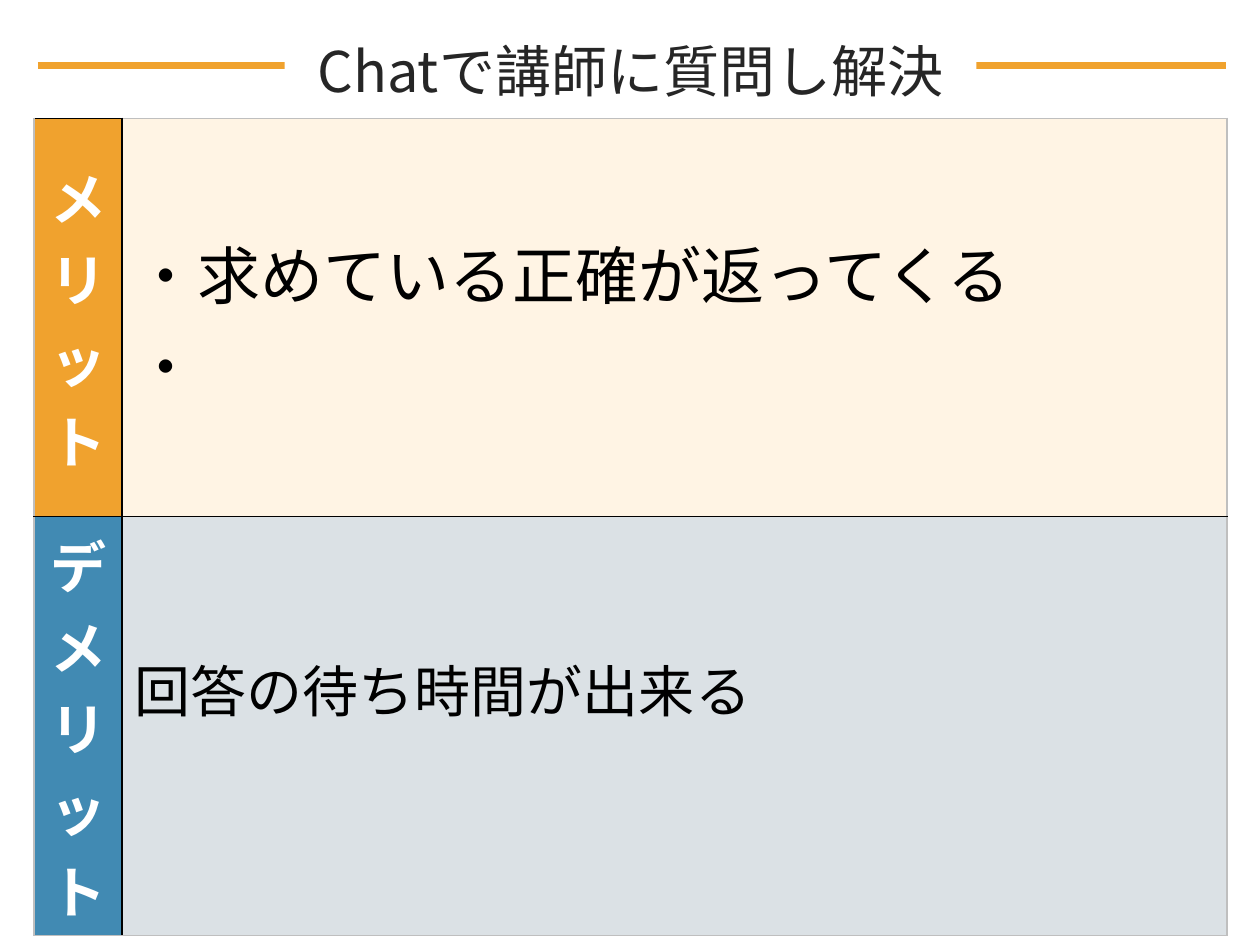
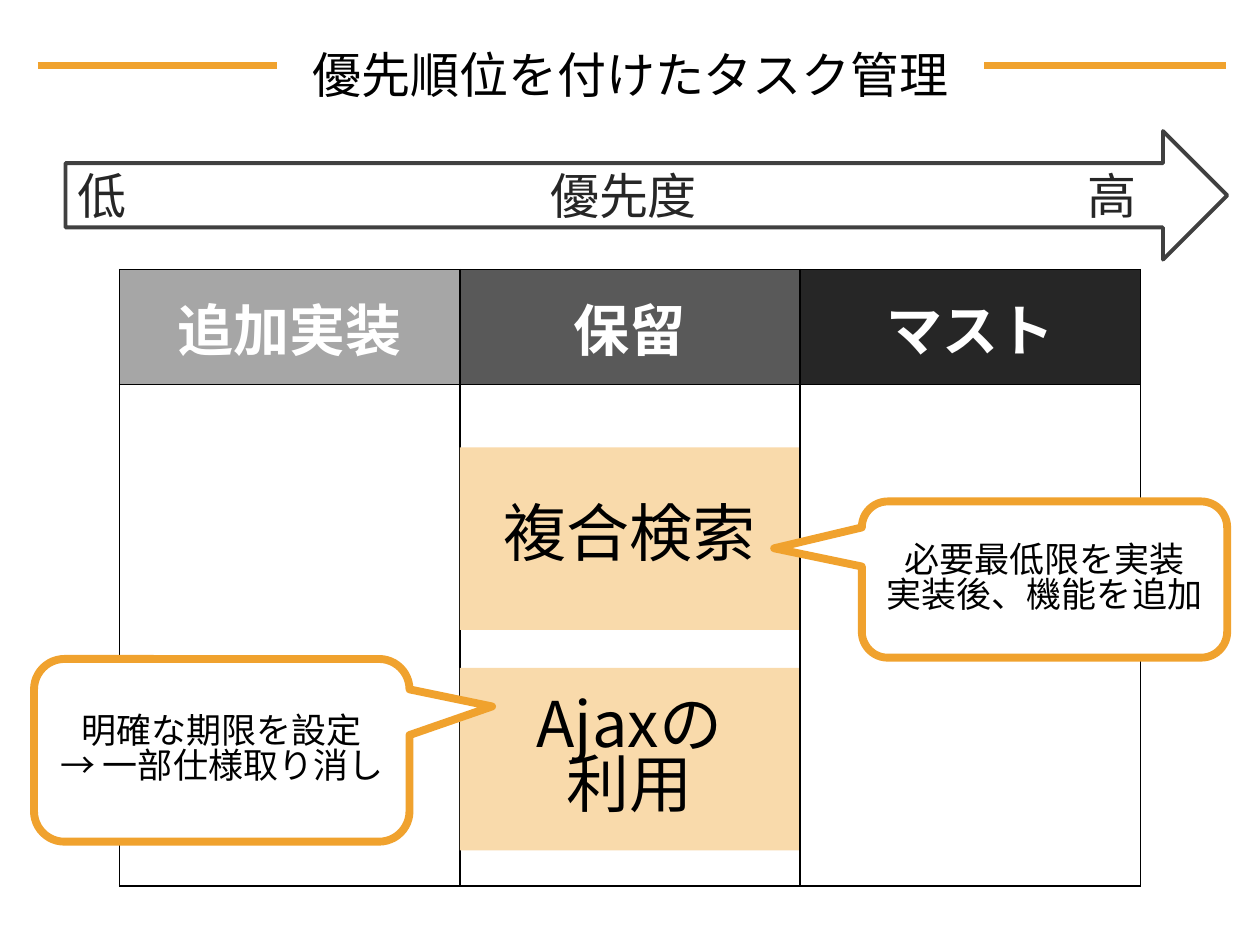
import lxml.etree
import pptx
import pptx.dml.color
import pptx.enum.shapes
import pptx.enum.text
import pptx.oxml.ns
import pptx.util

Inches = pptx.util.Inches
Pt = pptx.util.Pt
qn = pptx.oxml.ns.qn
Shape = pptx.enum.shapes.MSO_SHAPE
Align = pptx.enum.text.PP_ALIGN
Anchor = pptx.enum.text.MSO_ANCHOR

FONT = "Noto Sans CJK JP"
HUES = {
    "white": "FFFFFF", "black": "000000", "ink": "262626", "edge": "404040",
    "orange": "F0A22E", "peach": "F9DAAB", "cream": "FFEACA",
    "blue": "418AB3", "mist": "B8C5CD",
    "silver": "BFBFBF", "light": "A6A6A6", "mid": "595959",
}


class Deck:
    """Hold the shared style and the current slide."""

    def __init__(self):
        self.prs = pptx.Presentation()
        self.prs.slide_width = Inches(10)
        self.prs.slide_height = Inches(7.5)
        self.slide = None

    def hue(self, name):
        return pptx.dml.color.RGBColor.from_string(HUES[name])

    def paint(self, fill, name):
        fill.solid()
        fill.fore_color.rgb = self.hue(name)

    def label(self, frame, lines, size, hue="black", bold=False, align=Align.CENTER, gap=None):
        frame.text = "\n".join(lines)
        for para in frame.paragraphs:
            para.alignment = align
            para.line_spacing = gap
            font = para.font
            font.name, font.size, font.bold = FONT, Pt(size), bold
            font.color.rgb = self.hue(hue)
            lxml.etree.SubElement(font._rPr, qn("a:ea"), typeface=FONT)

    def page(self, text, left, top, width, height, size, hue):
        self.slide = self.prs.slides.add_slide(self.prs.slide_layouts[5])
        self.rule(0.3, 9.73, 0.52)
        title = self.slide.shapes.title
        self.slide.shapes._spTree.append(title._element)
        title.left, title.top = Inches(left), Inches(top)
        title.width, title.height = Inches(width), Inches(height)
        self.paint(title.fill, "white")
        self.label(title.text_frame, [text], size, hue)
        title.text_frame.auto_size = pptx.enum.text.MSO_AUTO_SIZE.NONE
        title.text_frame.vertical_anchor = Anchor.MIDDLE

    def rule(self, left, right, y):
        line = self.slide.shapes.add_connector(
            pptx.enum.shapes.MSO_CONNECTOR.STRAIGHT,
            Inches(left), Inches(y), Inches(right), Inches(y))
        line.line.color.rgb = self.hue("orange")
        line.line.width = Pt(4.5)
        lxml.etree.SubElement(line._element.spPr, qn("a:effectLst"))

    def shape(self, kind, left, top, width, height, fill=None, line=None, weight=4.5):
        item = self.slide.shapes.add_shape(
            kind, Inches(left), Inches(top), Inches(width), Inches(height))
        item.shadow.inherit = False
        if fill:
            self.paint(item.fill, fill)
        else:
            item.fill.background()
        if line:
            item.line.color.rgb = self.hue(line)
            item.line.width = Pt(weight)
        else:
            item.line.fill.background()
        item.text_frame.vertical_anchor = Anchor.MIDDLE
        return item

    def task(self, top, lines):
        item = self.shape(Shape.RECTANGLE, 3.65, top, 2.69, 1.45, "peach")
        self.label(item.text_frame, lines, 36, gap=0.8)

    def bubble(self, left, top, width, height, tip, lines):
        item = self.shape(Shape.ROUNDED_RECTANGULAR_CALLOUT,
                          left, top, width, height, "white", "orange")
        item.adjustments[0], item.adjustments[1] = tip
        self.label(item.text_frame, lines, 20, gap=0.83)

    def arrow(self, left, top, width, height, labels):
        item = self.shape(Shape.RIGHT_ARROW, left, top, width, height, None, "edge", 2.25)
        self.label(item.text_frame, ["\t".join(labels)], 28, "ink", align=Align.LEFT)
        props = item.text_frame.paragraphs[0]._p.get_or_add_pPr()
        tabs = lxml.etree.Element(qn("a:tabLst"))
        for pos, algn in ((4.33, "ctr"), (8.4, "r")):
            lxml.etree.SubElement(tabs, qn("a:tab"), pos=str(Inches(pos)), algn=algn)
        props.find(qn("a:defRPr")).addprevious(tabs)

    def table(self, left, top, cols, rows):
        frame = self.slide.shapes.add_table(
            len(rows), len(cols), Inches(left), Inches(top),
            Inches(sum(cols)), Inches(sum(rows)))
        grid = frame.table
        grid.first_row = grid.horz_banding = False
        for col, width in zip(grid.columns, cols):
            col.width = Inches(width)
        for row, height in zip(grid.rows, rows):
            row.height = Inches(height)
        return grid

    def cell(self, cell, fill, edges=("black",) * 4, alpha=None):
        self.paint(cell.fill, fill)
        cell.vertical_anchor = Anchor.MIDDLE
        props = cell._tc.get_or_add_tcPr()
        if alpha:
            tint = props.find(qn("a:solidFill"))[0]
            lxml.etree.SubElement(tint, qn("a:alpha"), val=str(alpha * 1000))
        for spot, (side, name) in enumerate(zip("LRTB", edges)):
            line = lxml.etree.Element(qn("a:ln" + side), w=str(Pt(1)))
            solid = lxml.etree.SubElement(line, qn("a:solidFill"))
            lxml.etree.SubElement(solid, qn("a:srgbClr"), val=HUES[name])
            props.insert(spot, line)


def pros(deck):
    """Build the slide of merits and demerits."""
    deck.page("Chatで講師に質問し解決", 2.26, 0.24, 5.49, 0.64, 32, "ink")
    grid = deck.table(0.27, 0.94, [0.7, 8.77], [3.16, 3.16])
    rows = (
        ("メリット", "orange", ["・求めている正確が返ってくる", "・"], 36, "cream",
         ("black", "black"), ("silver", "black")),
        ("デメリット", "blue", ["回答の待ち時間が出来る"], 32, "mist",
         ("black", "silver"), ("black", "silver")),
    )
    for i, (name, dark, lines, size, pale, near, far) in enumerate(rows):
        head, body = grid.cell(i, 0), grid.cell(i, 1)
        deck.cell(head, dark, ("silver", "black") + near)
        head._tc.tcPr.set("vert", "eaVert")
        deck.label(head.text_frame, [name], 32, "white", True)
        deck.cell(body, pale, ("black", "silver") + far, 50)
        deck.label(body.text_frame, lines, size, align=Align.LEFT)
    grid.cell(1, 1).margin_bottom = Inches(0.66)


def tasks(deck):
    """Build the slide of task priorities."""
    deck.page("優先順位を付けたタスク管理", 2.2, 0.3, 5.61, 0.57, 28, "black")
    grid = deck.table(0.95, 2.14, [2.7] * 3, [0.91, 3.98])
    heads = (("追加実装", "light"), ("保留", "mid"), ("マスト", "ink"))
    for i, (name, fill) in enumerate(heads):
        deck.cell(grid.cell(0, i), fill)
        deck.label(grid.cell(0, i).text_frame, [name], 32, "white", True)
        deck.cell(grid.cell(1, i), "white")
    deck.task(3.55, ["複合検索"])
    deck.arrow(0.52, 1.04, 9.22, 1.02, ["低", "優先度", "高"])
    deck.task(5.3, ["Ajaxの", "利用"])
    deck.bubble(6.84, 3.98, 2.9, 1.24, (-0.74, -0.2),
                ["必要最低限を実装", "実装後、機能を追加"])
    deck.bubble(0.27, 5.23, 2.98, 1.45, (0.72, -0.24),
                ["明確な期限を設定", "→ 一部仕様取り消し"])


def main():
    """Build and save the deck."""
    deck = Deck()
    pros(deck)
    tasks(deck)
    deck.prs.save("out.pptx")


if __name__ == "__main__":
    main()
